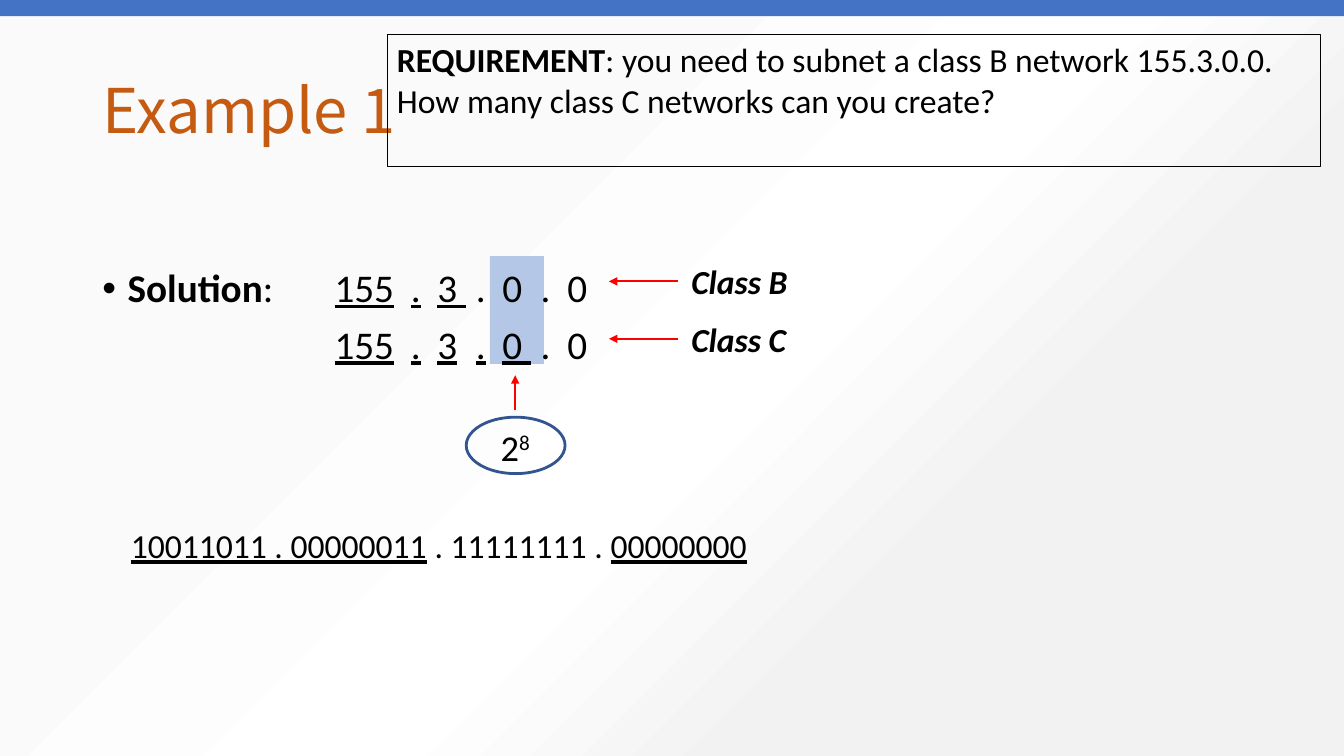
from lxml.etree import SubElement
from pptx import Presentation
from pptx.dml.color import RGBColor
from pptx.enum.shapes import MSO_CONNECTOR, MSO_SHAPE
from pptx.enum.text import MSO_ANCHOR
from pptx.oxml import parse_xml
from pptx.oxml.ns import nsdecls, qn
from pptx.util import Pt

BOLD = {"bold": True}
BOLD_ITALIC = {"bold": True, "italic": True}
UNDERLINED = {"underline": True}
PLAIN = {}


def color(hex_value):
    return RGBColor.from_string(hex_value)


def apply(target, values):
    for name, value in values.items():
        setattr(target, name, value)


class SubnetSlide:
    font = "Calibri"
    ink = "000000"
    arrow_red = "FF0000"

    def __init__(self, slide):
        self.slide = slide

    def background(self, stops, angle):
        stop_list = "".join(
            f'<a:gs pos="{percent * 1000}"><a:srgbClr val="{shade}"/></a:gs>'
            for percent, shade in stops
        )
        backdrop = parse_xml(
            f'<p:bg {nsdecls("p", "a")}><p:bgPr><a:gradFill rotWithShape="1">'
            f'<a:gsLst>{stop_list}</a:gsLst><a:lin ang="{angle * 60000}" scaled="0"/>'
            "</a:gradFill><a:effectLst/></p:bgPr></p:bg>"
        )
        self.slide.element.cSld.insert(0, backdrop)

    def shape(self, preset, box, fill=None, outline=None, width=1):
        shape = self.slide.shapes.add_shape(preset, *map(Pt, box))
        shape.shadow.inherit = False
        if fill:
            shape.fill.solid()
            shape.fill.fore_color.rgb = color(fill)
        else:
            shape.fill.background()
        if outline:
            shape.line.color.rgb = color(outline)
            shape.line.width = Pt(width)
        else:
            shape.line.fill.background()
        return shape

    def text(self, box, paragraphs, size, outline=None, **frame_format):
        holder = self.slide.shapes.add_textbox(*map(Pt, box))
        if outline:
            holder.line.color.rgb = color(outline)
            holder.line.width = Pt(0.75)
        frame = holder.text_frame
        apply(frame, {"word_wrap": True, **frame_format})
        for index, runs in enumerate(paragraphs):
            paragraph = frame.add_paragraph() if index else frame.paragraphs[0]
            for content, style in runs:
                self.run(paragraph, content, size, style)
        return frame.paragraphs

    def run(self, paragraph, content, size, style):
        run = paragraph.add_run()
        run.text = content
        apply(run.font, {"name": self.font, "size": Pt(size), **style})
        run.font.color.rgb = color(self.ink)
        return run

    def bullet(self, paragraph, indent):
        properties = paragraph._p.get_or_add_pPr()
        properties.set("marL", str(Pt(indent)))
        properties.set("indent", str(-Pt(indent)))
        SubElement(properties, qn("a:buFont")).set("typeface", "Arial")
        SubElement(properties, qn("a:buChar")).set("char", "•")

    def tabs(self, paragraph, stops):
        tab_list = SubElement(paragraph._p.get_or_add_pPr(), qn("a:tabLst"))
        for stop in stops:
            tab = SubElement(tab_list, qn("a:tab"))
            tab.set("pos", str(Pt(stop)))
            tab.set("algn", "l")

    def arrow(self, start, end):
        arrow = self.slide.shapes.add_connector(
            MSO_CONNECTOR.STRAIGHT, *map(Pt, (*start, *end))
        )
        arrow.line.color.rgb = color(self.arrow_red)
        arrow.line.width = Pt(1.25)
        SubElement(arrow.line._get_or_add_ln(), qn("a:tailEnd")).set("type", "triangle")
        SubElement(arrow._element.spPr, qn("a:effectLst"))


def main():
    deck = Presentation()
    apply(deck, {"slide_width": Pt(960), "slide_height": Pt(540)})
    page = SubnetSlide(deck.slides.add_slide(deck.slide_layouts[6]))
    page.background([(29, "FAFAFA"), (54, "FFFFFF"), (71, "F2F2F2"), (87, "F2F2F2")], 45)

    page.shape(MSO_SHAPE.RECTANGLE, (350, 183, 38.6, 77), fill="B4C7E7")
    title = page.text(
        (66, 28.8, 828, 104.4), [[("Example 1", {"name": "Noto Sans CJK SC"})]], 44,
        vertical_anchor=MSO_ANCHOR.MIDDLE,
    )[0]
    title.line_spacing = 0.9
    title.runs[0].font.color.rgb = color("C55A11")

    no_margins = dict.fromkeys(
        ("margin_left", "margin_right", "margin_top", "margin_bottom"), 0
    )
    solution = page.text(
        (73.2, 192, 150, 36), [[("Solution", BOLD), (":", PLAIN)]], 28, **no_margins
    )[0]
    solution.line_spacing = 0.9
    page.bullet(solution, 18)

    octet_pitch = 46.4
    stops = [first + octet_pitch * octet for octet in range(3) for first in (54.5, 73.5)]
    addresses = page.text(
        (239, 192, 200, 76),
        [
            [("155\t.\t3 ", UNDERLINED), ("\t.\t0\t.\t0", PLAIN)],
            [("155\t.\t3\t.\t0 ", UNDERLINED), ("\t.\t0", PLAIN)],
        ],
        28, **no_margins,
    )
    for row, address in enumerate(addresses):
        apply(address, {"line_spacing": 0.9, "space_before": Pt(10 * row)})
        page.tabs(address, stops)

    page.shape(MSO_SHAPE.RECTANGLE, (0, 0, 960, 11.5), fill="4472C4")
    page.text(
        (276.5, 24.5, 666.7, 94.3),
        [[
            ("REQUIREMENT", BOLD),
            (": you need to subnet a class B network 155.3.0.0. "
             "How many class C networks can you create?", PLAIN),
        ]],
        24, outline=page.ink,
    )

    for row, network in enumerate(("Class B", "Class C")):
        level = 201 + 41 * row
        page.arrow((484.5, level), (435, level))
        page.text((486.7, level - 18, 85, 36), [[(network, BOLD_ITALIC)]], 24, word_wrap=False)

    page.arrow((368, 293), (368, 268))
    power = page.text((350.6, 300, 36.7, 39), [[("2", PLAIN)]], 26, word_wrap=False)[0]
    exponent = page.run(power, "8", 26, PLAIN)
    exponent.font._element.set("baseline", "30000")
    page.shape(MSO_SHAPE.OVAL, (333, 298, 70.6, 40.3), outline="325491", width=2)

    page.text(
        (86.4, 371.5, 720, 36),
        [[
            ("10011011 . 00000011", UNDERLINED),
            (" . 11111111 . ", PLAIN),
            ("00000000", UNDERLINED),
        ]],
        24,
    )
    deck.save("out.pptx")


if __name__ == "__main__":
    main()
